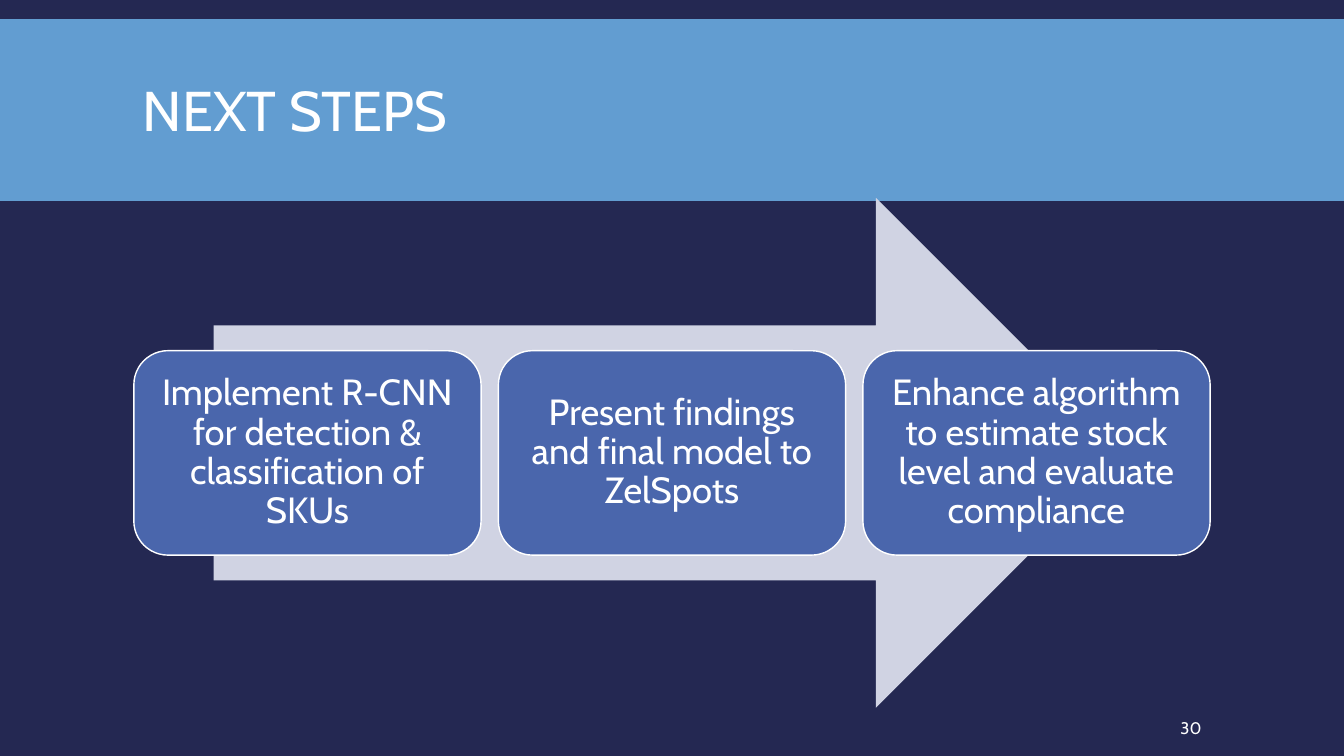
import pptx
import pptx.util
import pptx.dml.color
import pptx.enum.shapes
import pptx.enum.text

Pt = pptx.util.Pt
Shape = pptx.enum.shapes.MSO_SHAPE
Align = pptx.enum.text.PP_ALIGN
COLORS = {
    "night": "242852",
    "band": "629DD1",
    "arrow": "D0D3E3",
    "step": "4A66AC",
    "white": "FFFFFF",
}


def add_block(kind, left, top, width, height, color):
    block = page.shapes.add_shape(kind, Pt(left), Pt(top), Pt(width), Pt(height))
    block.shadow.inherit = False
    block.fill.solid()
    block.fill.fore_color.rgb = pptx.dml.color.RGBColor.from_string(COLORS[color])
    block.line.fill.background()
    return block


def write_text(box, text, size, align, spacing):
    frame = box.text_frame
    frame.text = text
    frame.word_wrap = True
    frame.vertical_anchor = pptx.enum.text.MSO_ANCHOR.MIDDLE
    para = frame.paragraphs[0]
    para.alignment = align
    para.line_spacing = spacing
    span = para.runs[0]
    span.font.name = "Cabin"
    span.font.size = Pt(size)
    span.font.color.rgb = pptx.dml.color.RGBColor.from_string(COLORS["white"])


deck = pptx.Presentation()
deck.slide_width = Pt(960)
deck.slide_height = Pt(540)
page = deck.slides.add_slide(deck.slide_layouts[6])
page.background.fill.solid()
page.background.fill.fore_color.rgb = pptx.dml.color.RGBColor.from_string(COLORS["night"])

add_block(Shape.RECTANGLE, 0, 13.7, 960, 129.8, "band")

title = page.shapes.add_textbox(Pt(95), Pt(22.3), Pt(770), Pt(118.8))
write_text(title, "NEXT STEPS", 40, Align.LEFT, 0.85)

number = page.shapes.add_textbox(Pt(839.5), Pt(505.5), Pt(74), Pt(28.8))
number.text_frame.margin_left = Pt(3.6)
write_text(number, "30", 12, Align.LEFT, 1.0)

add_block(Shape.RIGHT_ARROW, 152.6, 141.3, 655.2, 364.3, "arrow")

steps = [
    "Implement R-CNN for detection & classification of SKUs",
    "Present findings and final model to ZelSpots",
    "Enhance algorithm to estimate stock level and evaluate compliance",
]
for index, step in enumerate(steps):
    card = add_block(Shape.ROUNDED_RECTANGLE, 95.6 + index * 260.4, 250.5, 248, 146, "step")
    card.line.color.rgb = pptx.dml.color.RGBColor.from_string(COLORS["white"])
    card.line.width = Pt(1)
    frame = card.text_frame
    frame.margin_left = frame.margin_right = Pt(8)
    frame.margin_top = frame.margin_bottom = Pt(8)
    write_text(card, step, 26, Align.CENTER, 0.9)

deck.save("out.pptx")
